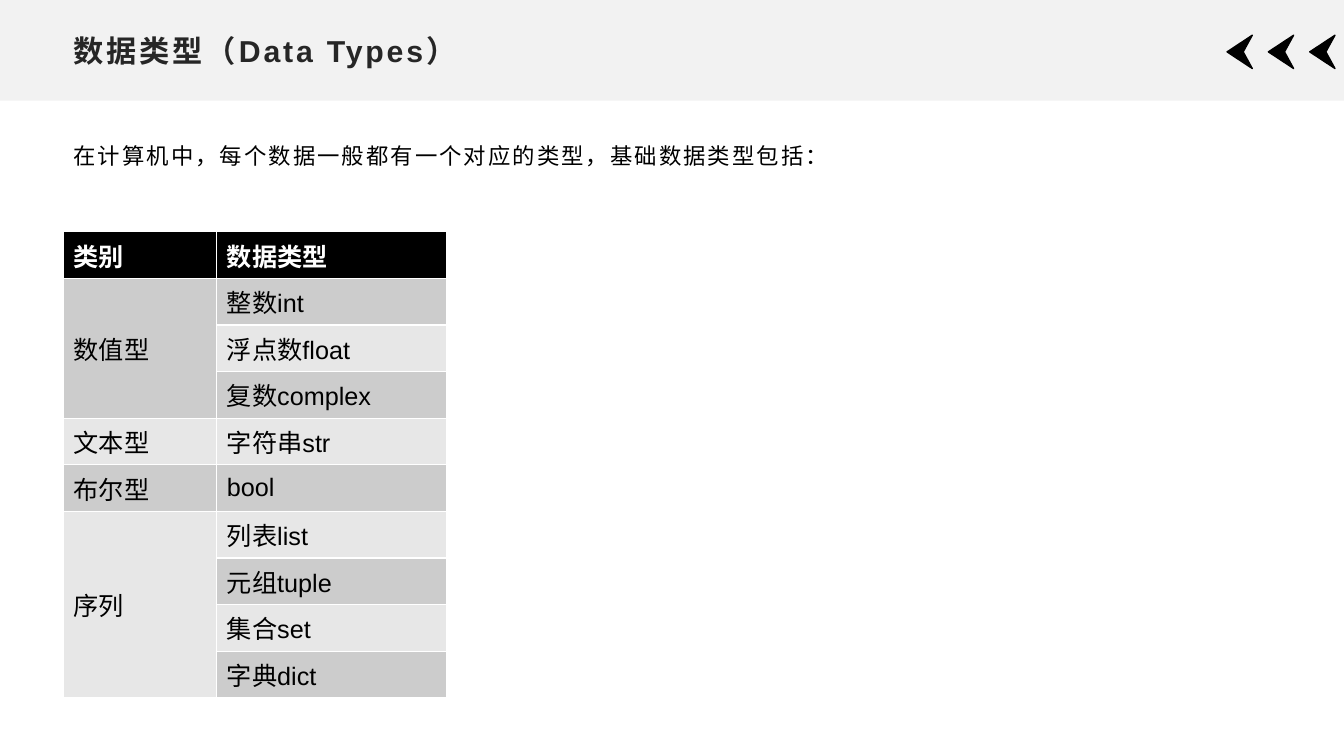
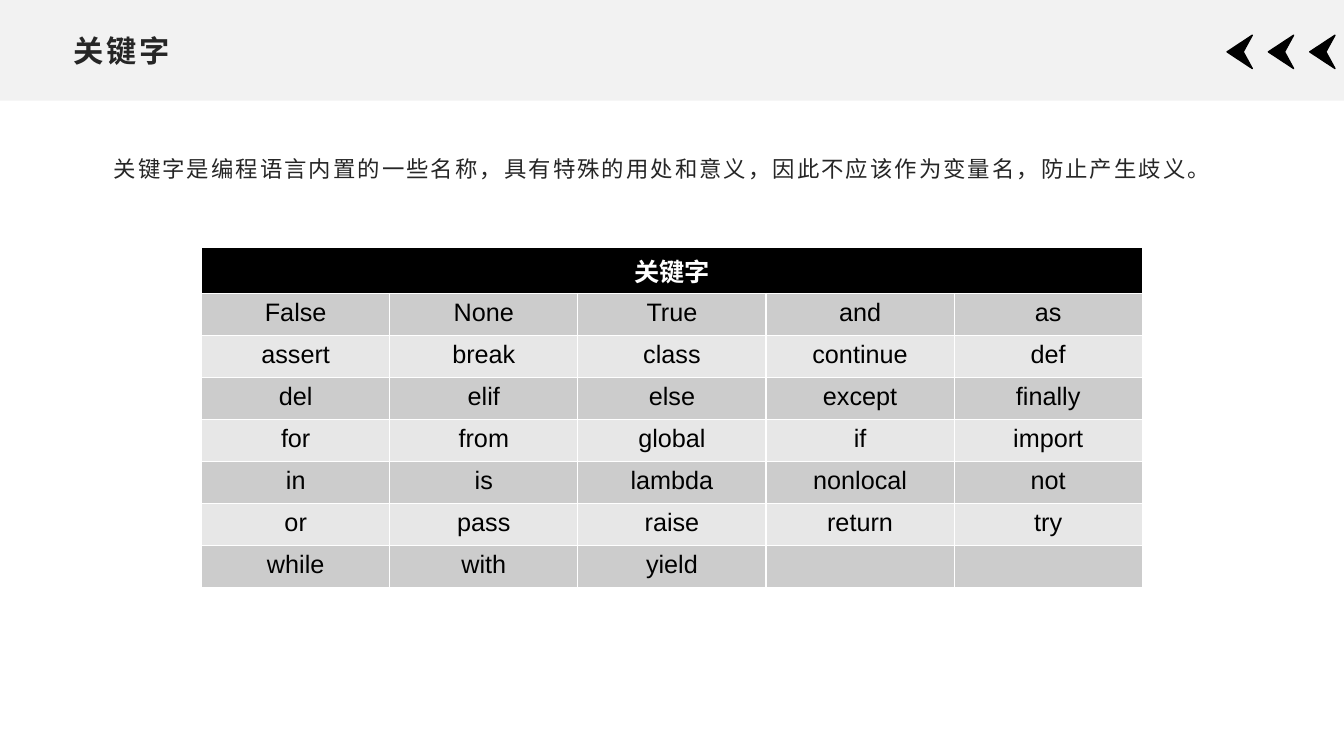
from pptx import Presentation
from pptx import util as u
from pptx.dml.color import RGBColor
from pptx.enum import shapes, text
from pptx.oxml.ns import qn

BLACK = RGBColor(0x00, 0x00, 0x00)
WHITE = RGBColor(0xFF, 0xFF, 0xFF)
INK = RGBColor(0x26, 0x26, 0x26)
BAND = RGBColor(0xF2, 0xF2, 0xF2)
ROW_FILLS = RGBColor(0xCC, 0xCC, 0xCC), RGBColor(0xE7, 0xE7, 0xE7)
FONT = "Arial"
WIDTH, HEIGHT = 13.33, 7.5
BAND_HEIGHT = 1
MARGIN = 0.63

DATA_TYPES = {
    "数值型": ["整数int", "浮点数float", "复数complex"],
    "文本型": ["字符串str"],
    "布尔型": ["bool"],
    "序列": ["列表list", "元组tuple", "集合set", "字典dict"],
}
KEYWORDS = """False None True and as assert break class continue def
del elif else except finally for from global if import
in is lambda nonlocal not or pass raise return try while with yield""".split()
KEYWORD_COLUMNS = 5


def inches(*lengths):
    """Convert lengths in inches to slide units."""
    return [u.Inches(length) for length in lengths]


def style(paragraph, size, color, bold=False, spacing=0):
    """Format a paragraph; spacing is the points added between letters."""
    font = paragraph.font
    font.name, font.size, font.bold = FONT, u.Pt(size), bold
    font.color.rgb = color
    if spacing:
        paragraph._p.pPr.find(qn("a:defRPr")).set("spc", str(int(spacing * 100)))


def paint(shape, fill, line_width=0):
    """Give a shape a flat fill and an outline of the same colour, if any."""
    shape.shadow.inherit = False
    shape.fill.solid()
    shape.fill.fore_color.rgb = fill
    if line_width:
        shape.line.color.rgb = fill
        shape.line.width = u.Pt(line_width)
    else:
        shape.line.fill.background()


def draw_arrow(slide, left, top, width, height):
    """Draw a notched arrowhead that points left and fills its box."""
    outline = [(1, 1), (0, 0.5), (1, 0), (0.64, 0.5)]
    corners = [inches(left + x * width, top + y * height) for x, y in outline]
    pen = slide.shapes.build_freeform(*corners[0])
    pen.add_line_segments(corners[1:], close=True)
    arrow = pen.convert_to_shape()
    paint(arrow, BLACK, 1)
    return arrow


def add_header(slide):
    """Draw the band and its arrows and hand them to the slide's layout."""
    band = slide.shapes.add_shape(
        shapes.MSO_SHAPE.RECTANGLE, *inches(0, 0, WIDTH, BAND_HEIGHT))
    paint(band, BAND)
    arrows = [draw_arrow(slide, 12.17 + 0.41 * column, 0.35, 0.25, 0.33)
              for column in range(3)]
    layout_tree = slide.slide_layout.shapes.element
    for order, part in enumerate([band, *arrows]):
        part.element.xpath(".//p:cNvPr")[0].set("id", str(100 + order))
        layout_tree.insert(2 + order, part.element)


def set_frame(frame, wording, anchor):
    """Fill a text frame with one left-aligned paragraph and return it."""
    frame.word_wrap = True
    frame.auto_size = text.MSO_AUTO_SIZE.NONE
    frame.vertical_anchor = anchor
    frame.text = wording
    paragraph = frame.paragraphs[0]
    paragraph.alignment = text.PP_ALIGN.LEFT
    return paragraph


def add_title(slide, wording):
    """Place the title in the band."""
    title = slide.shapes.title
    title.left, title.top, title.width, title.height = inches(
        MARGIN, 0.26, WIDTH - 2 * MARGIN, 0.48)
    heading = set_frame(title.text_frame, wording, text.MSO_ANCHOR.MIDDLE)
    style(heading, 21.6, INK, bold=True, spacing=2)


def add_intro(slide, wording, box, color):
    """Place the sentence that introduces the table."""
    frame = slide.shapes.add_textbox(*inches(*box)).text_frame
    intro = set_frame(frame, wording, text.MSO_ANCHOR.TOP)
    intro.line_spacing = 1.3
    intro.space_after = u.Pt(10)
    style(intro, 16, color, spacing=1.5)


def add_grid(slide, rows, box, shares, align, anchor):
    """Add a table with a black heading row and two alternating greys."""
    grid = slide.shapes.add_table(len(rows), len(shares), *inches(*box)).table
    for column, share in zip(grid.columns, shares):
        column.width = u.Inches(box[2] * share)
    for row_number, row in enumerate(rows):
        heading = row_number == 0
        for column_number, wording in enumerate(row):
            cell = grid.cell(row_number, column_number)
            cell.text = wording
            cell.vertical_anchor = anchor
            cell.fill.solid()
            cell.fill.fore_color.rgb = (
                BLACK if heading else ROW_FILLS[(row_number - 1) % 2])
            paragraph = cell.text_frame.paragraphs[0]
            paragraph.alignment = align
            style(paragraph, 18, WHITE if heading else BLACK, bold=heading)
    return grid


def build_data_types(slide):
    """Build the slide that groups the data types by category."""
    add_title(slide, "数据类型（Data Types）")
    add_intro(slide, "在计算机中，每个数据一般都有一个对应的类型，基础数据类型包括：",
              (MARGIN, 1.28, 8.26, 0.48), BLACK)
    rows = [("类别", "数据类型")]
    groups = []
    for category, members in DATA_TYPES.items():
        groups.append((len(rows), len(rows) + len(members) - 1))
        rows += [("" if place else category, member)
                 for place, member in enumerate(members)]
    grid = add_grid(slide, rows, (MARGIN, 2.3, 3.8, 4.06), (0.4, 0.6),
                    text.PP_ALIGN.LEFT, text.MSO_ANCHOR.MIDDLE)
    for first, last in groups:
        if last > first:
            grid.cell(first, 0).merge(grid.cell(last, 0))


def build_keywords(slide):
    """Build the slide that lists the keywords."""
    add_title(slide, "关键字")
    add_intro(slide, "关键字是编程语言内置的一些名称，具有特殊的用处和意义，"
              "因此不应该作为变量名，防止产生歧义。",
              (1.03, 1.41, 11.28, 0.63), INK)
    rows = [["关键字"] + [""] * (KEYWORD_COLUMNS - 1)]
    for start in range(0, len(KEYWORDS), KEYWORD_COLUMNS):
        row = KEYWORDS[start:start + KEYWORD_COLUMNS]
        rows.append(row + [""] * (KEYWORD_COLUMNS - len(row)))
    grid = add_grid(slide, rows, (2, 2.45, WIDTH - 4, 3.33),
                    [1 / KEYWORD_COLUMNS] * KEYWORD_COLUMNS,
                    text.PP_ALIGN.CENTER, text.MSO_ANCHOR.TOP)
    grid.cell(0, 0).merge(grid.cell(0, KEYWORD_COLUMNS - 1))


def main():
    """Build and save the presentation."""
    deck = Presentation()
    deck.slide_width, deck.slide_height = inches(WIDTH, HEIGHT)
    title_only = deck.slide_layouts.get_by_name("Title Only")
    data_types, keywords = [deck.slides.add_slide(title_only) for _ in range(2)]
    add_header(data_types)
    build_data_types(data_types)
    build_keywords(keywords)
    deck.save("out.pptx")


main()
